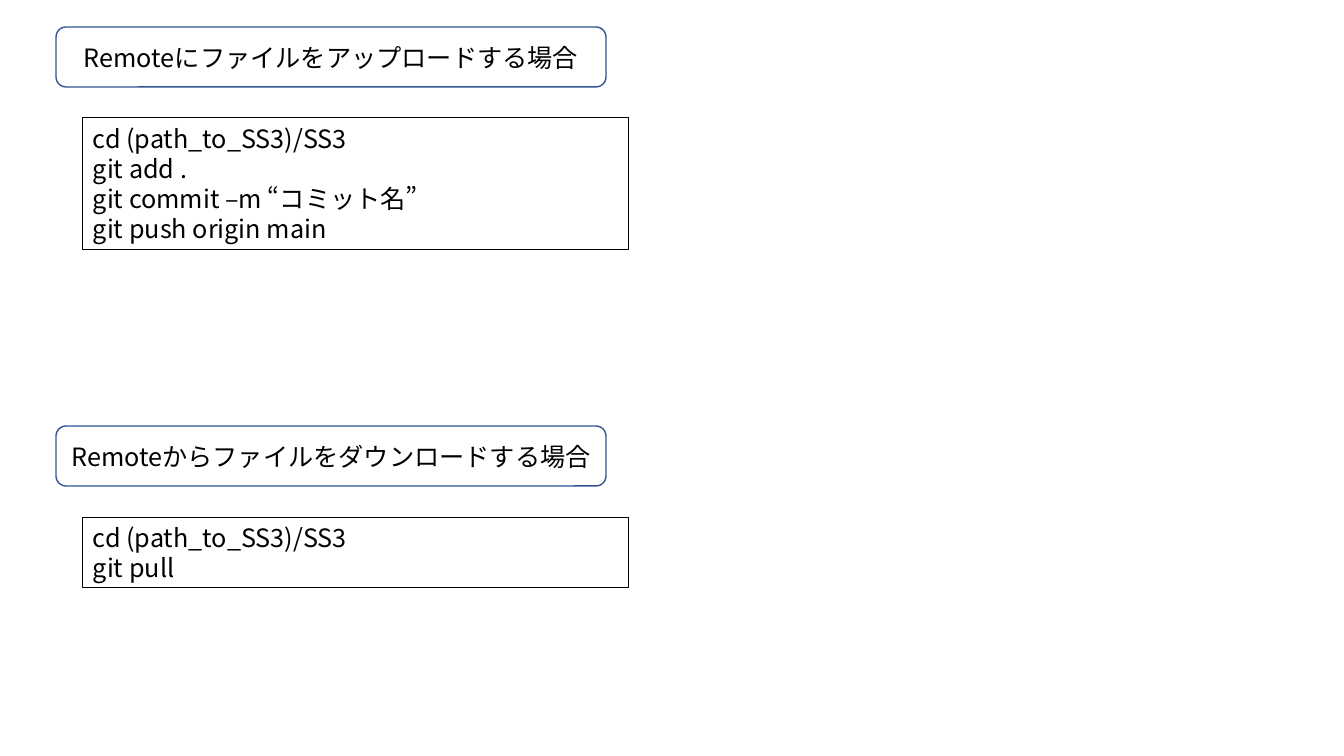
from lxml.etree import SubElement
from pptx import Presentation
from pptx.dml.color import RGBColor
from pptx.enum.lang import MSO_LANGUAGE_ID as Language
from pptx.enum.shapes import MSO_SHAPE as Shape
from pptx.enum.text import MSO_ANCHOR as Anchor, MSO_AUTO_SIZE as AutoSize, PP_ALIGN as Align
from pptx.oxml.ns import qn
from pptx.util import Emu, Pt

EMU_PER_PX = 914400 / 100.8
BLACK = RGBColor(0x00, 0x00, 0x00)
BLUE = RGBColor(0x32, 0x54, 0x91)
FONT = "Noto Sans CJK JP"
TEXT_FORMAT = {"name": FONT, "size": Pt(18), "language_id": Language.JAPANESE}
HEADING_FRAME = {"vertical_anchor": Anchor.MIDDLE, "word_wrap": True}
COMMANDS_FRAME = {
    "vertical_anchor": Anchor.TOP,
    "word_wrap": True,
    "auto_size": AutoSize.SHAPE_TO_FIT_TEXT,
}
SECTION_TOP = 27
SECTION_STEP = 399
SECTIONS = [
    ("Remoteにファイルをアップロードする場合",
     ["cd (path_to_SS3)/SS3", "git add .", "git commit –m “コミット名”", "git push origin main"]),
    ("Remoteからファイルをダウンロードする場合",
     ["cd (path_to_SS3)/SS3", "git pull"]),
]


def px(length):
    return Emu(round(length * EMU_PER_PX))


def apply_format(target, values):
    for attribute, value in values.items():
        setattr(target, attribute, value)


def write_line(paragraph, text, align):
    paragraph.alignment = align
    run = paragraph.add_run()
    run.text = text
    apply_format(run.font, TEXT_FORMAT)
    run.font.color.rgb = BLACK
    SubElement(run.font._element, qn("a:ea"), typeface=FONT)


def add_box(slide, kind, bounds, outline, width, lines, frame_format, align):
    box = slide.shapes.add_shape(kind, *map(px, bounds))
    box.shadow.inherit = False
    box.fill.background()
    box.line.color.rgb = outline
    box.line.width = Pt(width)
    frame = box.text_frame
    apply_format(frame, frame_format)
    for index, text in enumerate(lines):
        paragraph = frame.add_paragraph() if index else frame.paragraphs[0]
        write_line(paragraph, text, align)


def add_heading(slide, top, heading):
    add_box(slide, Shape.ROUNDED_RECTANGLE, (56, top, 550, 60), BLUE, 1,
            [heading], HEADING_FRAME, Align.CENTER)


def add_commands(slide, top, commands):
    height = 10 + 61 * len(commands) // 2
    add_box(slide, Shape.RECTANGLE, (83, top, 546, height), BLACK, 0.75,
            commands, COMMANDS_FRAME, Align.LEFT)


def main():
    deck = Presentation()
    apply_format(deck, {"slide_width": px(1344), "slide_height": px(756)})
    slide = deck.slides.add_slide(deck.slide_layouts[6])
    for index, (heading, commands) in enumerate(SECTIONS):
        top = SECTION_TOP + index * SECTION_STEP
        add_heading(slide, top, heading)
        add_commands(slide, top + 91, commands)
    deck.save("out.pptx")


if __name__ == "__main__":
    main()
